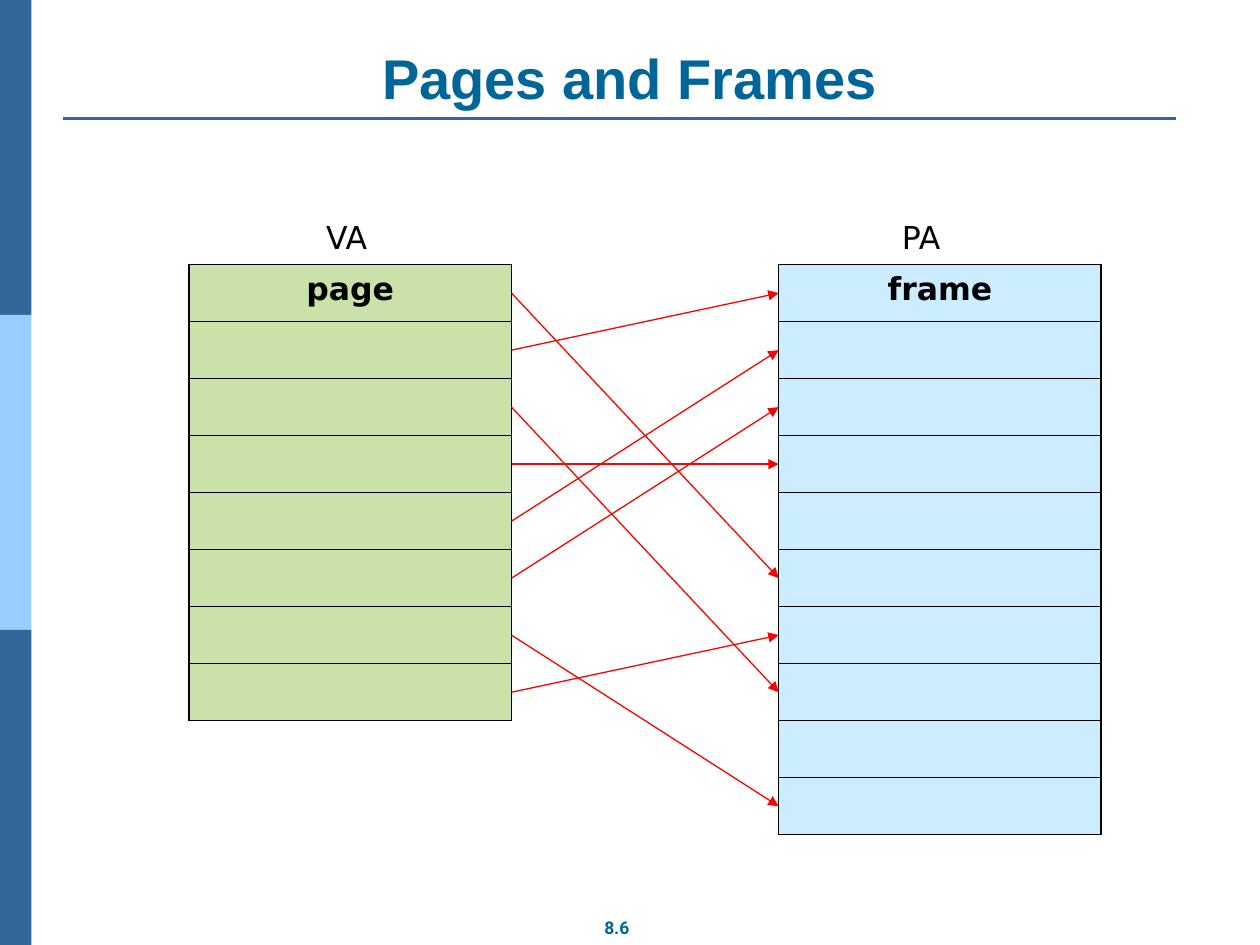
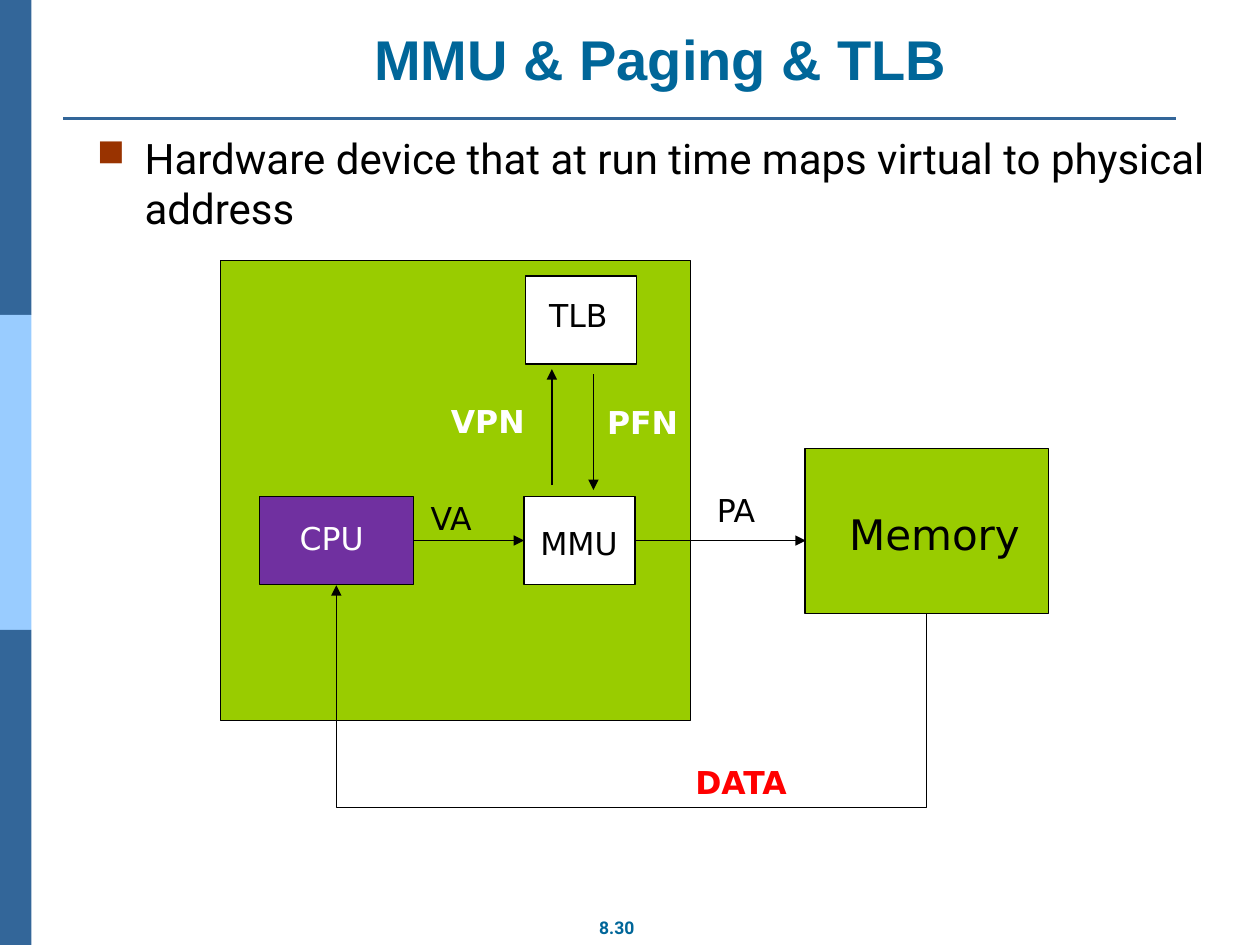
from dataclasses import dataclass

from lxml import etree
from pptx import Presentation
from pptx import util as u
from pptx.dml.color import RGBColor
from pptx.enum import shapes, text
from pptx.oxml.ns import qn

COLORS = {
    "rail": "336699", "rail_mid": "99CCFF", "heading": "006699", "bullet": "993300",
    "page": "CAE2AA", "frame": "CCECFF", "chip": "99CC00", "cpu": "7030A0",
    "black": "000000", "white": "FFFFFF", "red": "FF0000",
}
HEAD_FONT, BODY_FONT, LABEL_FONT = "Arial", "Roboto", "DejaVu Sans"

# The slide is a grid of 40 columns by 30 rows; all lengths below are grid units.
WIDTH, HEIGHT = u.Inches(10), u.Inches(7.5)
COLS, ROWS = 40, 30


@dataclass(frozen=True)
class Area:
    col: float
    row: float
    cols: float
    rows: float

    def emu(self) -> tuple[int, int, int, int]:
        return gx(self.col), gy(self.row), gx(self.cols), gy(self.rows)


@dataclass(frozen=True)
class Style:
    size: float = 18
    color: str = "black"
    bold: bool = False
    font: str = LABEL_FONT


@dataclass(frozen=True)
class Box:
    name: str
    area: Area
    fill: str


@dataclass(frozen=True)
class Label:
    words: str
    col: float
    row: float
    style: Style = Style()
    cols: float = 4.88
    rows: float = 1.6


@dataclass(frozen=True)
class Stack:
    """A one-column table of equal memory cells with a heading in the first."""
    heading: str
    col: float
    count: int
    fill: str
    top: float = 8.4
    cols: float = 10.24
    pitch: float = 1.81

    def middle(self, index: int) -> float:
        return self.top + (index + 0.5) * self.pitch


TITLE = Style(32, "heading", True, HEAD_FONT)
NUMBER = Style(10, "heading", True, BODY_FONT)
BULLET = Style(24, "black", False, BODY_FONT)
BOLD_WHITE = Style(color="white", bold=True)

PAGES = Stack("page", 6, 8, "page")
FRAMES = Stack("frame", 24.72, 10, "frame")
FRAME_OF_PAGE = [5, 0, 7, 3, 1, 2, 9, 6]

BOXES = [
    Box("chip", Area(7, 8.28, 14.92, 14.6), "chip"),
    Box("cpu", Area(8.24, 15.76, 4.88, 2.8), "cpu"),
    Box("mmu", Area(16.64, 15.76, 3.52, 2.8), "white"),
    Box("memory", Area(25.56, 14.24, 7.72, 5.24), "chip"),
    Box("tlb", Area(16.68, 8.76, 3.52, 2.8), "white"),
]
MMU_LABELS = [
    Label("CPU", 9.12, 16.28, Style(color="white")),
    Label("MMU", 16.76, 16.44),
    Label("Memory", 26.56, 15.96, Style(24), 7.12, 2.04),
    Label("VA", 13.28, 15.64),
    Label("DATA", 21.68, 24.04, Style(color="red", bold=True)),
    Label("PA", 22.36, 15.4),
    Label("TLB", 17.04, 9.2),
    Label("VPN", 13.92, 12.56, BOLD_WHITE),
    Label("PFN", 18.88, 12.6, BOLD_WHITE),
]


def gx(cols: float) -> int:
    return round(WIDTH * cols / COLS)


def gy(rows: float) -> int:
    return round(HEIGHT * rows / ROWS)


def rgb(color: str) -> RGBColor:
    return RGBColor.from_string(COLORS[color])


def add_run(p, words: str, style: Style) -> None:
    r = p.add_run()
    r.text = words
    r.font.name, r.font.size, r.font.bold = style.font, u.Pt(style.size), style.bold
    r.font.color.rgb = rgb(style.color)


def add_text(s, words: str, area: Area, style: Style, wrap: bool = True):
    tf = s.shapes.add_textbox(*area.emu()).text_frame
    tf.word_wrap = wrap
    p = tf.paragraphs[0]
    add_run(p, words, style)
    return p


def add_box(s, area: Area, fill: str, outline: bool = True):
    sp = s.shapes.add_shape(shapes.MSO_SHAPE.RECTANGLE, *area.emu())
    sp.shadow.inherit = False
    sp.fill.solid()
    sp.fill.fore_color.rgb = rgb(fill)
    if outline:
        sp.line.color.rgb = rgb("black")
        sp.line.width = u.Pt(0.75)
    else:
        sp.line.fill.background()
    return sp


def add_line(s, x1: float, y1: float, x2: float, y2: float, color: str = "black",
             width: float = 0.75, arrow: bool = True,
             kind=shapes.MSO_CONNECTOR.STRAIGHT):
    cn = s.shapes.add_connector(kind, gx(x1), gy(y1), gx(x2), gy(y2))
    cn.line.color.rgb = rgb(color)
    cn.line.width = u.Pt(width)
    if arrow:
        etree.SubElement(cn.line._get_or_add_ln(), qn("a:tailEnd"), type="triangle")
    etree.SubElement(cn.element.spPr, qn("a:effectLst"))
    return cn


def add_loop(s, x1: float, y1: float, x2: float, y2: float, bottom: float) -> None:
    """Arrow that drops from the right point to bottom and rises to the left point."""
    cx, cy = (x1 + x2) / 2, (y1 + y2) / 2
    half_w, half_h = (y1 - y2) / 2, (x1 - x2) / 2
    cn = add_line(s, cx + half_w, cy - half_h, cx - half_w, cy + half_h,
                  kind=shapes.MSO_CONNECTOR.ELBOW)
    spPr = cn.element.spPr
    spPr.find(qn("a:xfrm")).set("rot", str(90 * 60000))
    bend = -round(100000 * (bottom - y1) / (y1 - y2))
    guides = spPr.find(qn("a:prstGeom")).find(qn("a:avLst"))
    etree.SubElement(guides, qn("a:gd"), name="adj1", fmla=f"val {bend}")


def add_stack(s, stack: Stack) -> None:
    area = Area(stack.col, stack.top, stack.cols, stack.count * stack.pitch)
    table = s.shapes.add_table(stack.count, 1, *area.emu()).table
    table.first_row = table.horz_banding = False
    for row in table.rows:
        row.height = gy(stack.pitch)
        cell = row.cells[0]
        cell.fill.solid()
        cell.fill.fore_color.rgb = rgb(stack.fill)
        add_borders(cell)
    p = table.cell(0, 0).text_frame.paragraphs[0]
    p.alignment = text.PP_ALIGN.CENTER
    add_run(p, stack.heading, Style(bold=True))


def add_borders(cell) -> None:
    tcPr = cell._tc.get_or_add_tcPr()
    for i, side in enumerate("LRTB"):
        ln = etree.Element(qn(f"a:ln{side}"), w=str(u.Pt(1)))
        fill = etree.SubElement(ln, qn("a:solidFill"))
        etree.SubElement(fill, qn("a:srgbClr"), val=COLORS["black"])
        tcPr.insert(i, ln)


def add_bullet(s, words: str, area: Area) -> None:
    p = add_text(s, words, area, BULLET)
    pPr = p._p.get_or_add_pPr()
    indent = u.Inches(0.38)
    pPr.set("marL", str(indent))
    pPr.set("indent", str(-indent))
    color = etree.SubElement(pPr, qn("a:buClr"))
    etree.SubElement(color, qn("a:srgbClr"), val=COLORS["bullet"])
    etree.SubElement(pPr, qn("a:buSzPct"), val="90000")
    etree.SubElement(pPr, qn("a:buChar"), char="■")


def new_slide(prs, title: str, title_area: Area, number: str):
    """Title-only slide with the side rail, title rule and page number."""
    s = prs.slides.add_slide(prs.slide_layouts[5])
    for i, fill in enumerate(("rail", "rail_mid", "rail")):
        add_box(s, Area(0, i * ROWS / 3, 1, ROWS / 3), fill, outline=False)
    add_line(s, 2, 3.76, 37.32, 3.76, "rail", 1.5, arrow=False)
    p = add_text(s, number, Area(18.6, 28.92, 1.96, 1.08), NUMBER, wrap=False)
    p.alignment = text.PP_ALIGN.CENTER

    sp = s.shapes.title
    sp.left, sp.top, sp.width, sp.height = title_area.emu()
    tf = sp.text_frame
    tf.auto_size = text.MSO_AUTO_SIZE.NONE
    tf.vertical_anchor = text.MSO_ANCHOR.BOTTOM
    p = tf.paragraphs[0]
    p.alignment = text.PP_ALIGN.CENTER
    add_run(p, title, TITLE)
    return s


def add_labels(s, labels: list[Label]) -> None:
    for label in labels:
        area = Area(label.col, label.row, label.cols, label.rows)
        add_text(s, label.words, area, label.style)


def build_pages_and_frames(prs) -> None:
    s = new_slide(prs, "Pages and Frames", Area(2, 1.2, 36, 2.52), "8.6")
    add_stack(s, PAGES)
    add_stack(s, FRAMES)
    add_labels(s, [Label("VA", 9.96, 6.72), Label("PA", 28.24, 6.72)])
    for page, frame in enumerate(FRAME_OF_PAGE):
        add_line(s, PAGES.col + PAGES.cols, PAGES.middle(page),
                 FRAMES.col, FRAMES.middle(frame), "red")


def build_mmu(prs) -> None:
    s = new_slide(prs, "MMU & Paging & TLB", Area(3.84, 0.6, 34.28, 2.52), "8.30")
    add_bullet(s, "Hardware device that at run time maps virtual to physical address",
               Area(2.68, 4, 37.32, 22.52))
    drawn = {box.name: add_box(s, box.area, box.fill) for box in BOXES}

    virtual = add_line(s, 13.12, 17.16, 16.64, 17.16)
    virtual.begin_connect(drawn["cpu"], 3)
    virtual.end_connect(drawn["mmu"], 1)
    physical = add_line(s, 20.16, 17.16, 25.58, 17.16)
    physical.begin_connect(drawn["mmu"], 3)
    add_line(s, 17.52, 15.4, 17.52, 11.72)
    add_line(s, 18.84, 11.88, 18.84, 15.56)
    add_loop(s, 29.42, 19.48, 10.68, 18.58, bottom=25.64)
    add_labels(s, MMU_LABELS)


def main() -> None:
    prs = Presentation()
    prs.slide_width, prs.slide_height = WIDTH, HEIGHT
    build_pages_and_frames(prs)
    build_mmu(prs)
    prs.save("out.pptx")


if __name__ == "__main__":
    main()
